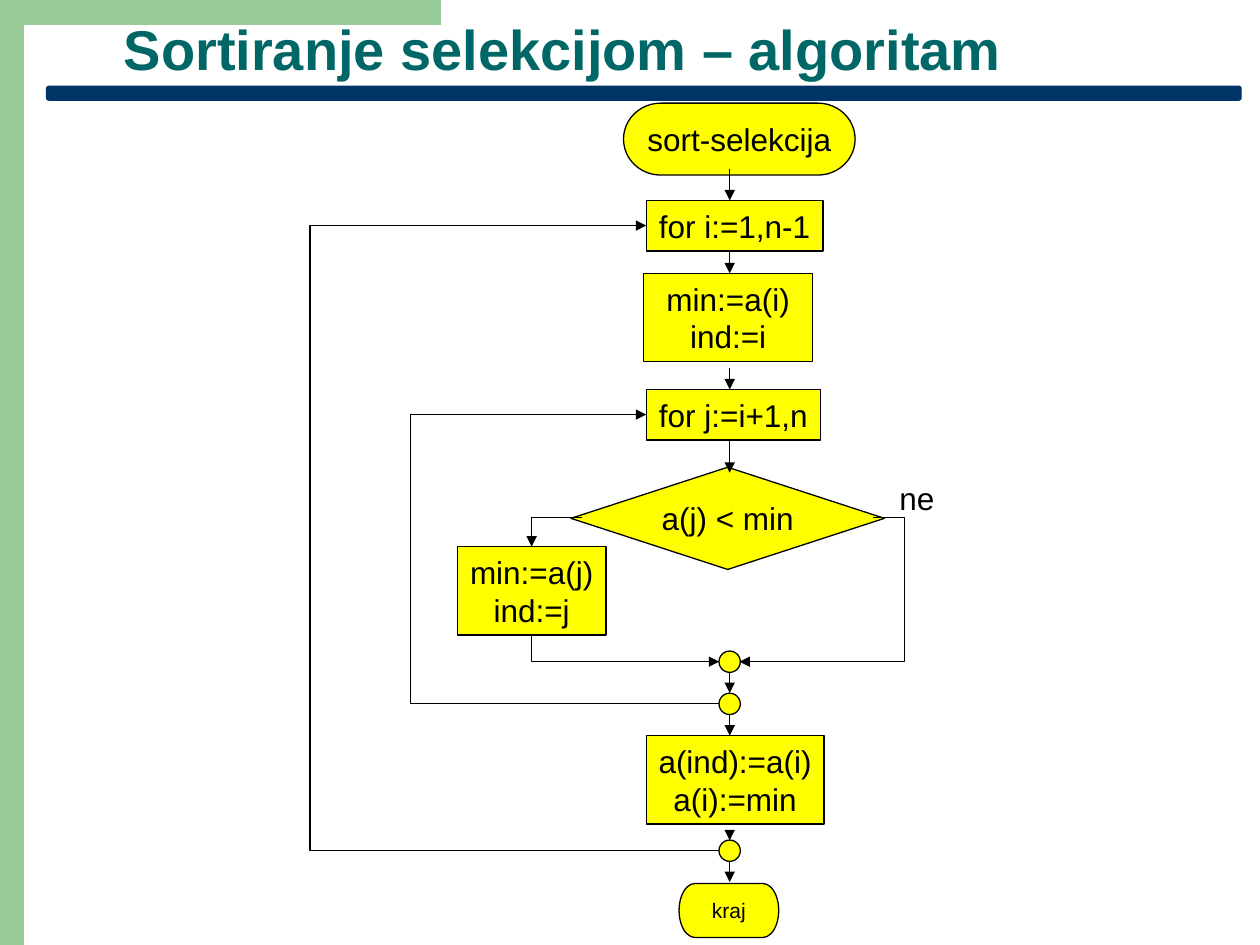
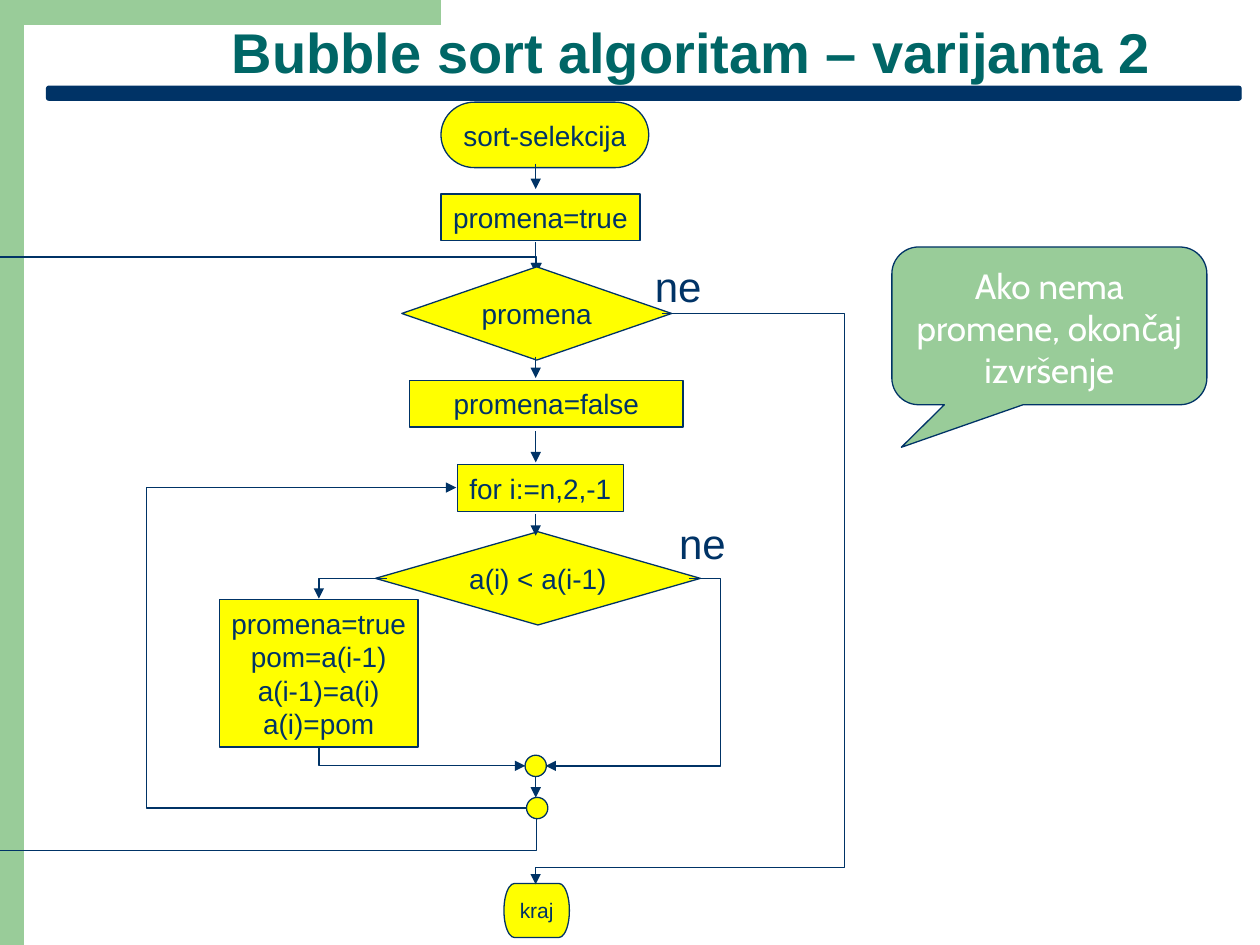
from dataclasses import dataclass

from lxml import etree
from pptx import Presentation
from pptx.dml.color import RGBColor
from pptx.enum.shapes import MSO_CONNECTOR, MSO_SHAPE
from pptx.enum.text import MSO_ANCHOR, MSO_AUTO_SIZE, PP_ALIGN
from pptx.oxml.ns import qn
from pptx.slide import Slide
from pptx.util import Cm, Pt

TERMINATOR = MSO_SHAPE.FLOWCHART_TERMINATOR
PROCESS = MSO_SHAPE.FLOWCHART_PROCESS
DECISION = MSO_SHAPE.FLOWCHART_DECISION
JUNCTION = MSO_SHAPE.FLOWCHART_CONNECTOR
CALLOUT = MSO_SHAPE.ROUNDED_RECTANGULAR_CALLOUT
RECTANGLE, ROUNDED = MSO_SHAPE.RECTANGLE, MSO_SHAPE.ROUNDED_RECTANGLE
STRAIGHT, ELBOW = MSO_CONNECTOR.STRAIGHT, MSO_CONNECTOR.ELBOW
LEFT, CENTER = PP_ALIGN.LEFT, PP_ALIGN.CENTER
MIDDLE, BOTTOM = MSO_ANCHOR.MIDDLE, MSO_ANCHOR.BOTTOM
NO_FIT = MSO_AUTO_SIZE.NONE

GREEN, NAVY, TEAL = "99CC99", "003366", "006666"
YELLOW, BLACK, WHITE = "FFFF00", "000000", "FFFFFF"
FONT = "Arial"
LINE_WIDTH = Pt(0.75)
JUNCTION_SIZE = 0.43
TITLE_ONLY = 5

Point = tuple[float, float]
Box = tuple[float, float, float, float]  # left, top, width, height in cm


@dataclass
class Node:
    """A flowchart step."""
    kind: int
    box: Box
    text: str = ""
    size: float = 0  # zero takes the size of the chart


@dataclass
class Link:
    """A line between steps; bends hold x, then y, of its inner segments."""
    start: Point
    end: Point
    bends: tuple[float, ...] = ()
    arrow: str = "tailEnd"


@dataclass
class Style:
    ink: str
    size: float


def color(value: str) -> RGBColor:
    return RGBColor.from_string(value)


def lengths(box: Box) -> list[Cm]:
    return [Cm(value) for value in box]


def write(shape, text: str, size: float, ink: str, align=CENTER, anchor=MIDDLE,
          font: str = FONT, bold: bool = False, wrap: bool = False) -> None:
    frame = shape.text_frame
    frame.text = text
    frame.auto_size = NO_FIT
    frame.word_wrap = wrap
    frame.vertical_anchor = anchor
    for paragraph in frame.paragraphs:
        paragraph.alignment = align
        for run in paragraph.runs:
            run.font.name, run.font.size, run.font.bold = font, Pt(size), bold
            run.font.color.rgb = color(ink)


def add_block(slide: Slide, kind: int, box: Box, fill: str, line: str = ""):
    block = slide.shapes.add_shape(kind, *lengths(box))
    block.shadow.inherit = False
    block.fill.solid()
    block.fill.fore_color.rgb = color(fill)
    if line:
        block.line.color.rgb = color(line)
        block.line.width = LINE_WIDTH
    else:
        block.line.fill.background()
    return block


def add_node(slide: Slide, node: Node, style: Style) -> None:
    step = add_block(slide, node.kind, node.box, YELLOW, style.ink)
    if node.text:
        write(step, node.text, node.size or style.size, style.ink)


def add_link(slide: Slide, link: Link, style: Style) -> None:
    (x1, y1), (x2, y2) = link.start, link.end
    straight = x1 == x2
    line = slide.shapes.add_connector(STRAIGHT if straight else ELBOW,
                                      *lengths((x1, y1, x2, y2)))
    line.line.color.rgb = color(style.ink)
    line.line.width = LINE_WIDTH
    properties = line.element.spPr
    if not straight:
        geometry = properties.find(qn("a:prstGeom"))
        geometry.set("prst", f"bentConnector{len(link.bends) + 2}")
        guides = geometry.find(qn("a:avLst"))
        # Each bend is a share of the way from start to end
        for number, (bend, first, last) in enumerate(
                zip(link.bends, (x1, y1), (x2, y2)), 1):
            share = round((bend - first) / (last - first) * 100000)
            etree.SubElement(guides, qn("a:gd"), name=f"adj{number}", fmla=f"val {share}")
    if link.arrow:
        etree.SubElement(properties.find(qn("a:ln")), qn(f"a:{link.arrow}"), type="triangle")
    etree.SubElement(properties, qn("a:effectLst"))


def add_label(slide: Slide, text: str, box: Box, style: Style, size: float) -> None:
    label = slide.shapes.add_textbox(*lengths(box))
    write(label, text, size, style.ink, align=LEFT, anchor=BOTTOM)


def junction(x: float, y: float) -> Node:
    half = JUNCTION_SIZE / 2
    return Node(JUNCTION, (x - half, y - half, JUNCTION_SIZE, JUNCTION_SIZE))


def down_arrows(x: float, spans: list[Point]) -> list[Link]:
    return [Link((x, top), (x, bottom)) for top, bottom in spans]


def draw_chart(slide: Slide, nodes: list[Node], links: list[Link], style: Style) -> None:
    for node in nodes:
        add_node(slide, node, style)
    for link in links:
        add_link(slide, link, style)


def add_titled_slide(deck, text: str, box: Box) -> Slide:
    slide = deck.slides.add_slide(deck.slide_layouts[TITLE_ONLY])
    # Green frame, white page and navy rule
    add_block(slide, RECTANGLE, (0, 0, 2.11, 19.05), GREEN)
    add_block(slide, RECTANGLE, (1.9, 0, 6.99, 2.97), GREEN)
    add_block(slide, RECTANGLE, (0.5, 0.52, 23.4, 18.53), WHITE, WHITE)
    add_block(slide, ROUNDED, (0.94, 1.74, 24.08, 0.28), NAVY, NAVY)
    # Title, brought in front of the frame
    title = slide.shapes.title
    title.left, title.top, title.width, title.height = lengths(box)
    write(title, text, 32, TEAL, align=LEFT, anchor=BOTTOM, bold=True, wrap=True)
    title.text_frame.paragraphs[0].line_spacing = 0.9
    title.element.getparent().append(title.element)
    return slide


def selection_sort(deck) -> None:
    slide = add_titled_slide(deck, "Sortiranje selekcijom – algoritam",
                             (2.24, 0.2, 22.23, 1.6))
    style = Style(BLACK, 18)
    axis, merge, inner_end, outer_end = 14.71, 13.34, 14.19, 17.15
    test, update = 10.44, 10.72
    nodes = [
        Node(TERMINATOR, (12.57, 2.08, 4.67, 1.45), "sort-selekcija"),
        Node(PROCESS, (13.03, 4.04, 3.56, 1.02), "for i:=1,n-1"),
        Node(PROCESS, (12.98, 5.51, 3.4, 1.78), "min:=a(i)\nind:=i"),
        Node(PROCESS, (13.03, 7.85, 3.51, 1.02), "for j:=i+1,n"),
        Node(DECISION, (11.51, 9.42, 6.32, 2.06), "a(j) < min"),
        Node(PROCESS, (9.22, 11.02, 3, 1.78), "min:=a(j)\nind:=j"),
        Node(PROCESS, (13.03, 14.83, 3.58, 1.78), "a(ind):=a(i)\na(i):=min"),
        Node(TERMINATOR, (13.69, 17.81, 2.01, 1.09), "kraj", 12),
        *[junction(axis, y) for y in (merge, inner_end, outer_end)],
    ]
    links = down_arrows(axis, [
        (3.4, 4.04), (5.08, 5.51), (7.42, 7.85), (8.89, 9.53),
        (13.56, 13.97), (14.4, 14.83), (16.74, 16.94), (17.37, 17.78)])
    links += [
        Link((17.6, test), (14.91, merge), (18.24,)),
        Link((14.5, inner_end), (13.03, 8.36), (8.28,)),
        Link((14.5, outer_end), (13.03, 4.55), (6.25,)),
        Link((11.73, test), (update, 11.02)),
        Link((14.5, merge), (update, 12.83), arrow="headEnd"),
    ]
    draw_chart(slide, nodes, links, style)
    add_label(slide, "ne", (17.88, 9.53, 1.22, 1.02), style, 18)


def bubble_sort(deck) -> None:
    slide = add_titled_slide(deck, "Bubble sort algoritam – varijanta 2",
                             (4.42, 0.3, 20.98, 1.55))
    style = Style(NAVY, 16)
    axis, merge, loop_end = 10.8, 15.44, 16.29
    test, swap = 11.66, 6.43
    # Lines that run in behind the first decision
    for link in [*down_arrows(axis, [(4.88, 5.51)]), Link((0, 5.18), (10.82, 5.51))]:
        add_link(slide, link, style)
    nodes = [
        Node(TERMINATOR, (8.89, 2.06, 4.19, 1.32), "sort-selekcija"),
        Node(PROCESS, (8.89, 3.91, 4.01, 0.94), "promena=true"),
        Node(DECISION, (8.1, 5.38, 5.44, 1.88), "promena"),
        Node(PROCESS, (8.26, 7.67, 5.51, 0.94), "promena=false"),
        Node(PROCESS, (9.22, 9.37, 3.35, 0.94), "for i:=n,2,-1"),
        Node(DECISION, (7.57, 10.72, 6.55, 1.88), "a(i) < a(i-1)"),
        Node(PROCESS, (4.42, 12.09, 4.01, 2.97),
             "promena=true\npom=a(i-1)\na(i-1)=a(i)\na(i)=pom"),
        Node(TERMINATOR, (10.16, 17.81, 1.32, 1.09), "kraj", 12),
        junction(axis, merge),
        junction(10.83, loop_end),
    ]
    links = down_arrows(axis, [
        (3.3, 3.81), (7.19, 7.62), (8.69, 9.32), (10.36, 10.8), (15.67, 16.08)])
    links += [
        Link((13.89, test), (11, merge), (14.53,)),
        Link((10.62, loop_end), (9.2, 9.83), (2.95,)),
        Link((0, 17.15), (10.82, 16.51), arrow=""),
        Link((13.34, 6.32), (axis, 17.83), (17.02, 17.48)),
        Link((7.8, test), (swap, 12.07)),
        Link((10.59, merge), (swap, 15.06), arrow="headEnd"),
    ]
    draw_chart(slide, nodes, links, style)
    for left, top in ((12.95, 5.13), (13.44, 10.31)):
        add_label(slide, "ne", (left, top, 1.45, 1.27), style, 24)
    # Remark on the early exit
    remark = add_block(slide, CALLOUT, (17.98, 4.98, 6.35, 3.18), GREEN, NAVY)
    for index, value in enumerate((-0.47, 0.77, 0.17)):
        remark.adjustments[index] = value
    write(remark, "Ako nema promene, okončaj izvršenje", 20, WHITE,
          anchor=BOTTOM, font="Cabin", wrap=True)


def main() -> None:
    deck = Presentation()
    deck.slide_width, deck.slide_height = Cm(25.4), Cm(19.05)
    selection_sort(deck)
    bubble_sort(deck)
    deck.save("out.pptx")


if __name__ == "__main__":
    main()
